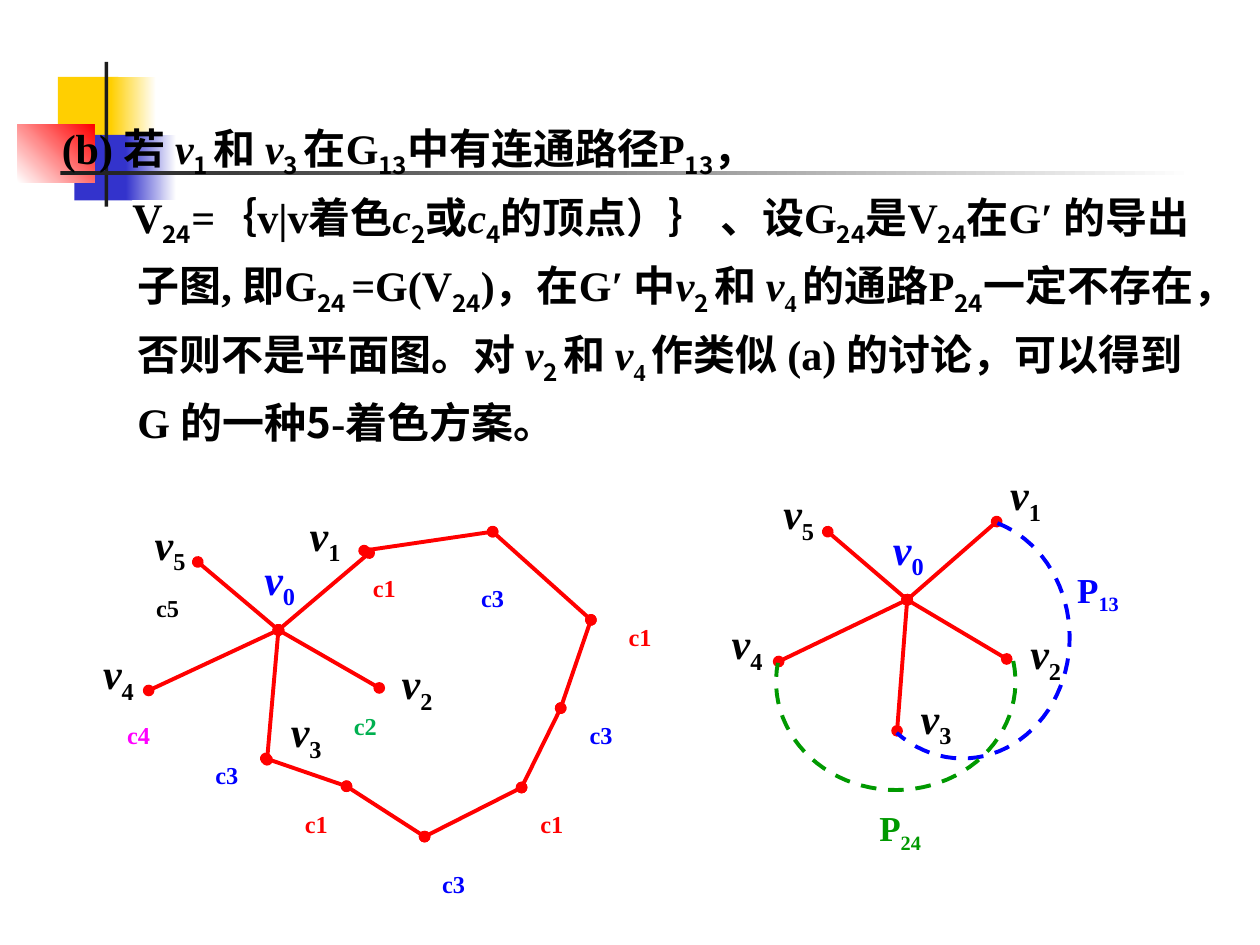
import math
from itertools import pairwise

from lxml import etree
from pptx import Presentation, util as u
from pptx.dml.color import RGBColor
from pptx.enum import dml, shapes, text
from pptx.oxml import ns

SERIF, SANS = "Times New Roman", "Noto Sans CJK SC"
BLACK, BLUE, RED, GREEN = "000000", "0000FF", "FF0000", "009900"
YELLOW, NAVY, WHITE, INK = "FFCF01", "3333CC", "FFFFFF", "1C1C1C"
RUN_STYLES = {
    "t": (SERIF, False, False),
    "n": (SANS, False, False),
    "i": (SERIF, True, False),
    "s": (SANS, False, True),
    "d": (SERIF, False, True),
}


def cells(count):
    return u.Inches(count / 10)


def rgb(code):
    return RGBColor.from_string(code)


class Board:
    def __init__(self, slide):
        self.slide = slide
        self.canvas = slide.shapes

    def open_group(self):
        self.canvas = self.slide.shapes.add_group_shape().shapes

    def block(self, box, start, end=None, angle=0):
        shape = self.canvas.add_shape(shapes.MSO_SHAPE.RECTANGLE, *map(cells, box))
        shape.shadow.inherit = False
        shape.line.fill.background()
        if end is None:
            shape.fill.solid()
            shape.fill.fore_color.rgb = rgb(start)
            return
        shape.fill.gradient()
        shape.fill.gradient_angle = angle
        for stop, code in zip(shape.fill.gradient_stops, (start, end)):
            stop.color.rgb = rgb(code)

    def edge(self, start, end):
        line = self.canvas.add_connector(
            shapes.MSO_CONNECTOR.STRAIGHT, *map(cells, (*start, *end)))
        line.line.color.rgb = rgb(RED)
        line.line.width = u.Pt(2.25)
        for tag in ("a:headEnd", "a:tailEnd"):
            etree.SubElement(line.line._get_or_add_ln(), ns.qn(tag), type="oval")
        etree.SubElement(line._element.spPr, ns.qn("a:effectLst"))

    def dashed_arc(self, center, radii, first, last, color, steps=48):
        angles = [math.radians(first + (last - first) * i / steps)
                  for i in range(steps + 1)]
        points = [(cells(center[0] + radii[0] * math.cos(a)),
                   cells(center[1] + radii[1] * math.sin(a))) for a in angles]
        builder = self.canvas.build_freeform(*points[0])
        builder.add_line_segments(points[1:], close=False)
        arc = builder.convert_to_shape()
        arc.shadow.inherit = False
        arc.fill.background()
        arc.line.color.rgb = rgb(color)
        arc.line.width = u.Pt(2.25)
        arc.line.dash_style = dml.MSO_LINE.DASH

    def add_runs(self, paragraph, marked, color=BLACK, size=24):
        for part in marked.split("#"):
            font, italic, lowered = RUN_STYLES[part[0]]
            run = paragraph.add_run()
            run.text = part[1:]
            run.font.name = font
            run.font.size = u.Pt(size)
            run.font.bold = True
            run.font.italic = italic
            run.font.color.rgb = rgb(color)
            props = run._r.get_or_add_rPr()
            etree.SubElement(props, ns.qn("a:ea"), typeface=SANS)
            if lowered:
                props.set("baseline", "-25000")

    def label(self, box, marked, color=BLACK):
        holder = self.canvas.add_textbox(*map(cells, box))
        frame = holder.text_frame
        frame.word_wrap = True
        frame.auto_size = text.MSO_AUTO_SIZE.SHAPE_TO_FIT_TEXT
        frame.vertical_anchor = text.MSO_ANCHOR.MIDDLE
        frame.margin_left = frame.margin_right = 0
        frame.margin_top = frame.margin_bottom = 0
        frame.paragraphs[0].alignment = text.PP_ALIGN.CENTER
        self.add_runs(frame.paragraphs[0], marked, color)

    def path_label(self, corner, marked, color):
        holder = self.canvas.add_textbox(*map(cells, (*corner, 5.5, 4.3)))
        holder.text_frame.word_wrap = False
        holder.text_frame.auto_size = text.MSO_AUTO_SIZE.SHAPE_TO_FIT_TEXT
        self.add_runs(holder.text_frame.paragraphs[0], marked, color, 20)

    def wheel(self, hub, tips, corners, width):
        for tip in tips:
            self.edge(hub, tip)
        for number, corner in enumerate(corners):
            self.label((*corner, width, 4), f"iv#d{number}", BLACK if number else BLUE)

    def body(self, box, paragraphs):
        holder = self.slide.placeholders[1]
        holder.left, holder.top, holder.width, holder.height = map(cells, box)
        self.slide.shapes._spTree.append(holder._element)
        frame = holder.text_frame
        frame.word_wrap = True
        frame.auto_size = text.MSO_AUTO_SIZE.NONE
        frame.vertical_anchor = text.MSO_ANCHOR.TOP
        for index, (indent, marked) in enumerate(paragraphs):
            paragraph = frame.add_paragraph() if index else frame.paragraphs[0]
            paragraph.line_spacing = 1.2
            paragraph.space_before = u.Pt(0)
            props = paragraph._p.get_or_add_pPr()
            props.set("marL", str(cells(6.7)))
            props.set("indent", str(cells(indent)))
            etree.SubElement(props, ns.qn("a:buNone"))
            self.add_runs(paragraph, marked)


PROOF = [
    (-6, "t(b) 若 #iv#s1 #t和 #iv#s3 #t在G#s13#t中有连通路径P#s13#t，"),
    (-0.4, "tV#s24#t=｛v|v#n着色#ic#s2#t或#ic#s4#n的顶点）｝ #t、设G#s24#t是V#s24"
           "#t在G′ 的导出子图, 即G#s24 #t=G(V#s24#t)，在G′ 中#iv#s2 #t和 #iv#d4 "
           "#t的通路P#s24#t一定不存在，否则不是平面图。对 #iv#s2 #t和 #iv#d4 "
           "#t作类似 (a) 的讨论，可以得到G 的一种#n5#t-着色方案。"),
]
ORNAMENT = [
    ((4.6, 6.1, 4.8, 5.2), YELLOW),
    ((8.8, 6.1, 3.6, 5.2), YELLOW, WHITE),
    ((5.9, 10.7, 4.6, 5.2), NAVY),
    ((10, 10.7, 4, 5.2), NAVY, WHITE),
    ((1.4, 9.9, 6.1, 4.6), WHITE, RED, 45),
    ((8.3, 4.9, 0.3, 11.5), INK),
    ((4.8, 13.6, 90, 0.3), INK, WHITE),
]
COLORED_TIPS = [(29.3, 43.9), (30.1, 54.6), (21.2, 60.3), (15.7, 44.6), (11.8, 54.8)]
COLORED_NAMES = [(19.8, 44.2), (23.4, 40.7), (30.7, 52.5), (21.9, 56.3),
                 (7, 51.7), (11.1, 41.4)]
CHAIN = [(28.9, 43.7), (39.1, 42.2), (46.9, 49.2), (44.5, 56.2),
         (41.4, 62.5), (33.7, 66.4), (27.5, 62.4), (21.1, 60.2)]
COLOR_CLASSES = {
    "c1": (RED, [(28.1, 44.5), (48.4, 48.4), (22.7, 63.3), (41.4, 63.3)]),
    "c2": ("00B050", [(26.6, 55.5)]),
    "c3": (BLUE, [(15.6, 59.4), (36.7, 45.3), (45.3, 56.2), (33.6, 68)]),
    "c4": ("FF00FF", [(8.6, 56.2)]),
    "c5": (BLACK, [(10.9, 46.1)]),
}
CROSSING_TIPS = [(79.1, 41.4), (79.9, 52.3), (71.2, 58), (65.7, 42.2), (61.8, 52.5)]
CROSSING_NAMES = [(69.8, 41.8), (79.1, 37.5), (80.7, 50.1), (72, 55.2),
                  (57, 49.3), (61.1, 39)]


def main():
    deck = Presentation()
    deck.slide_width, deck.slide_height = cells(100), cells(75)
    slide = deck.slides.add_slide(deck.slide_layouts[1])
    title = slide.shapes.title._element
    title.getparent().remove(title)

    board = Board(slide)
    for piece in ORNAMENT:
        board.block(*piece)
    board.body((3.2, 8.3, 93.8, 27.3), PROOF)

    board.wheel((22.1, 50), COLORED_TIPS, COLORED_NAMES, 4.8)
    for start, end in pairwise(CHAIN):
        board.edge(start, end)
    for name, (color, corners) in COLOR_CLASSES.items():
        for corner in corners:
            board.label((*corner, 4.8, 2), "d" + name, color)

    board.open_group()
    board.wheel((72, 47.6), CROSSING_TIPS, CROSSING_NAMES, 4.6)
    board.dashed_arc((76.4, 50.6), (8.5, 9.6), -71, 128, BLUE)
    board.path_label((84.5, 44.6), "tP#d13", BLUE)
    board.dashed_arc((71.1, 54.1), (9.5, 8.6), -11, 190, GREEN)
    board.path_label((68.8, 63.5), "tP#d24", GREEN)
    deck.save("out.pptx")


if __name__ == "__main__":
    main()
